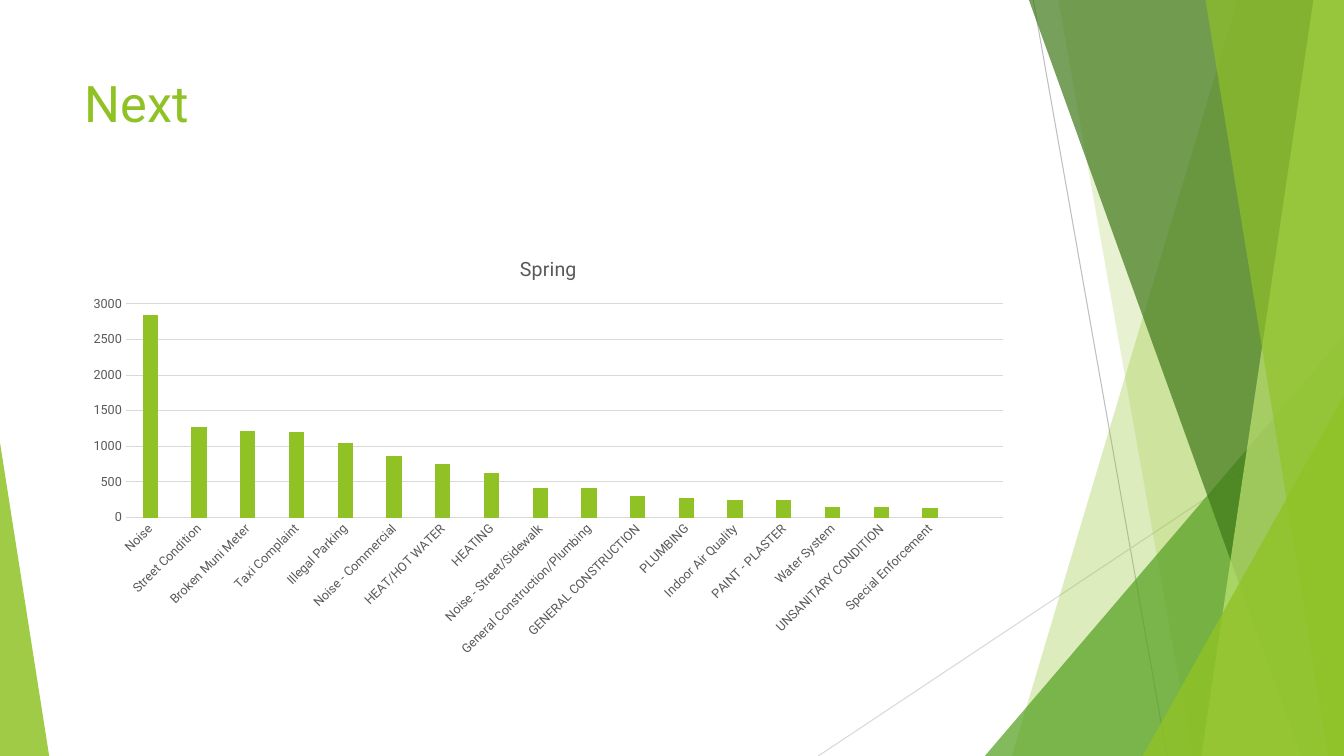
from lxml import etree
from pptx import Presentation
from pptx.chart import data
from pptx.dml.color import RGBColor
from pptx.enum import chart as ch, shapes, text
from pptx.oxml import ns
from pptx.util import Cm, Pt

LIME = RGBColor(0x90, 0xC2, 0x26)
GREEN = RGBColor(0x54, 0xA0, 0x21)
FOREST = RGBColor(0x3F, 0x78, 0x19)
PALE = RGBColor(0xC0, 0xE4, 0x74)
GREY = RGBColor(0xBF, 0xBF, 0xBF)
SILVER = RGBColor(0xD9, 0xD9, 0xD9)
SLATE = RGBColor(0x59, 0x59, 0x59)
WIDTH, HEIGHT = 33.87, 19.05

prs = Presentation()
prs.slide_width, prs.slide_height = Cm(WIDTH), Cm(HEIGHT)
slide = prs.slides.add_slide(prs.slide_layouts[5])


def write(frame, words, size, color, font="Roboto", align=None):
    frame.text = words
    paragraph = frame.paragraphs[0]
    paragraph.alignment = align
    style = paragraph.runs[0].font
    style.name, style.size, style.bold = font, Pt(size), False
    style.color.rgb = color


def tint(facet, color, opacity):
    facet.shadow.inherit = False
    facet.line.fill.background()
    facet.fill.solid()
    facet.fill.fore_color.rgb = color
    srgb = facet.fill._xPr.find(".//" + ns.qn("a:srgbClr"))
    etree.SubElement(srgb, ns.qn("a:alpha"), val=str(opacity * 1000))


for x1, y1, x2, y2, color in [
    (26.04, 0, 29.41, HEIGHT, GREY),
    (WIDTH, 10.24, 20.62, HEIGHT, SILVER),
]:
    ray = slide.shapes.add_connector(
        shapes.MSO_CONNECTOR.STRAIGHT, Cm(x1), Cm(y1), Cm(x2), Cm(y2))
    ray.line.color.rgb = color
    ray.line.width = Pt(0.75)
    etree.SubElement(ray._element.spPr, ns.qn("a:effectLst"))

bands = "band"
peaks = "peak"
for kind, first, second, color, opacity in [
    (bands, 31.19, 25.5, LIME, 30),
    (bands, 26.67, 30.05, LIME, 20),
    (peaks, 24.82, 8.46, GREEN, 72),
    (bands, 25.93, 32.79, FOREST, 70),
    (bands, 33.1, 30.28, PALE, 70),
    (bands, 30.38, 33.48, LIME, 65),
    (peaks, 28.8, 9.98, LIME, 80),
]:
    if kind == bands:
        outline = slide.shapes.build_freeform(Cm(first), 0)
        outline.add_line_segments([
            (Cm(WIDTH), 0), (Cm(WIDTH), Cm(HEIGHT)), (Cm(second), Cm(HEIGHT))])
        facet = outline.convert_to_shape()
    else:
        facet = slide.shapes.add_shape(
            shapes.MSO_SHAPE.ISOSCELES_TRIANGLE, Cm(first), Cm(second),
            Cm(WIDTH - first), Cm(HEIGHT - second))
        facet.adjustments[0] = 1
    tint(facet, color, opacity)

corner = slide.shapes.add_shape(
    shapes.MSO_SHAPE.ISOSCELES_TRIANGLE, 0, Cm(11.15), Cm(1.24), Cm(7.9))
corner.adjustments[0] = 0
tint(corner, LIME, 85)

heading = slide.shapes.title
heading.left, heading.top = Cm(1.88), Cm(1.7)
heading.width, heading.height = Cm(23.88), Cm(3.66)
heading.text_frame.vertical_anchor = text.MSO_ANCHOR.TOP
write(heading.text_frame, "Next", 36, LIME, align=text.PP_ALIGN.LEFT)

complaints = [
    ("Noise", 2840), ("Street Condition", 1270), ("Broken Muni Meter", 1220),
    ("Taxi Complaint", 1200), ("Illegal Parking", 1050),
    ("Noise - Commercial", 870), ("HEAT/HOT WATER", 750), ("HEATING", 630),
    ("Noise - Street/Sidewalk", 410), ("General Construction/Plumbing", 410),
    ("GENERAL CONSTRUCTION", 300), ("PLUMBING", 270),
    ("Indoor Air Quality", 250), ("PAINT - PLASTER", 250),
    ("Water System", 150), ("UNSANITARY CONDITION", 150),
    ("Special Enforcement", 130), ("", None),
]
counts = data.CategoryChartData()
counts.categories = [complaint for complaint, _ in complaints]
counts.add_series("Series 1", [count for _, count in complaints])
spring = slide.shapes.add_chart(
    ch.XL_CHART_TYPE.COLUMN_CLUSTERED, Cm(1.88), Cm(6), Cm(23.88), Cm(10.77),
    counts).chart
spring.font.name, spring.font.size = "Roboto", Pt(10)
spring.has_legend = False
spring.has_title = True
write(spring.chart_title.text_frame, "Spring", 14, SLATE)
spring.chart_title.include_in_layout = False

columns = spring.plots[0]
columns.gap_width, columns.overlap = 219, -27
columns.vary_by_categories = False
columns.series[0].format.fill.solid()
columns.series[0].format.fill.fore_color.rgb = LIME

for axis in (spring.category_axis, spring.value_axis):
    axis.major_tick_mark = axis.minor_tick_mark = ch.XL_TICK_MARK.NONE
    labels = axis.tick_labels.font
    labels.name, labels.size = "Roboto", Pt(9)
    labels.color.rgb = SLATE

scale = spring.value_axis
scale.minimum_scale, scale.maximum_scale, scale.major_unit = 0, 3000, 500
scale.format.line.fill.background()
for rule in (spring.category_axis.format.line, scale.major_gridlines.format.line):
    rule.color.rgb = SILVER
    rule.width = Pt(0.75)
slant = spring.category_axis._element.find(
    ns.qn("c:txPr") + "/" + ns.qn("a:bodyPr"))
slant.set("rot", "-2700000")
slant.set("vert", "horz")

prs.save("out.pptx")
